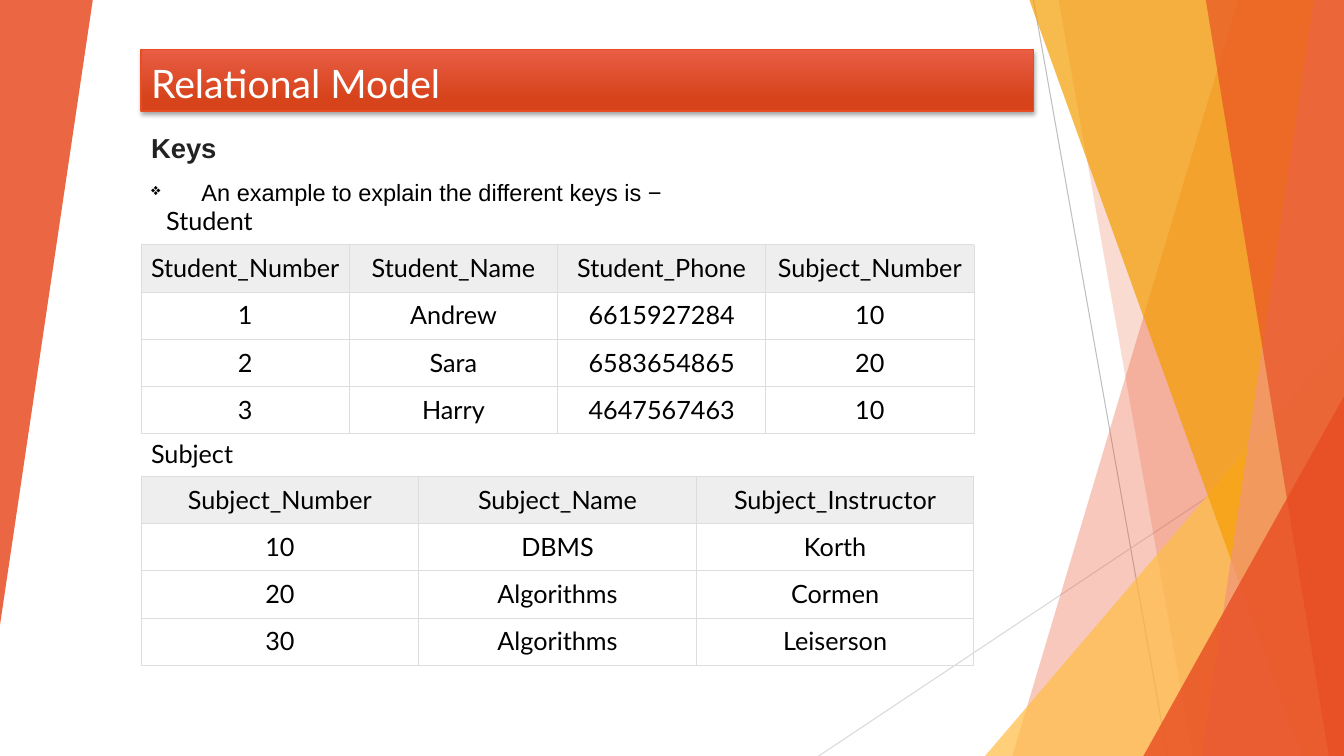
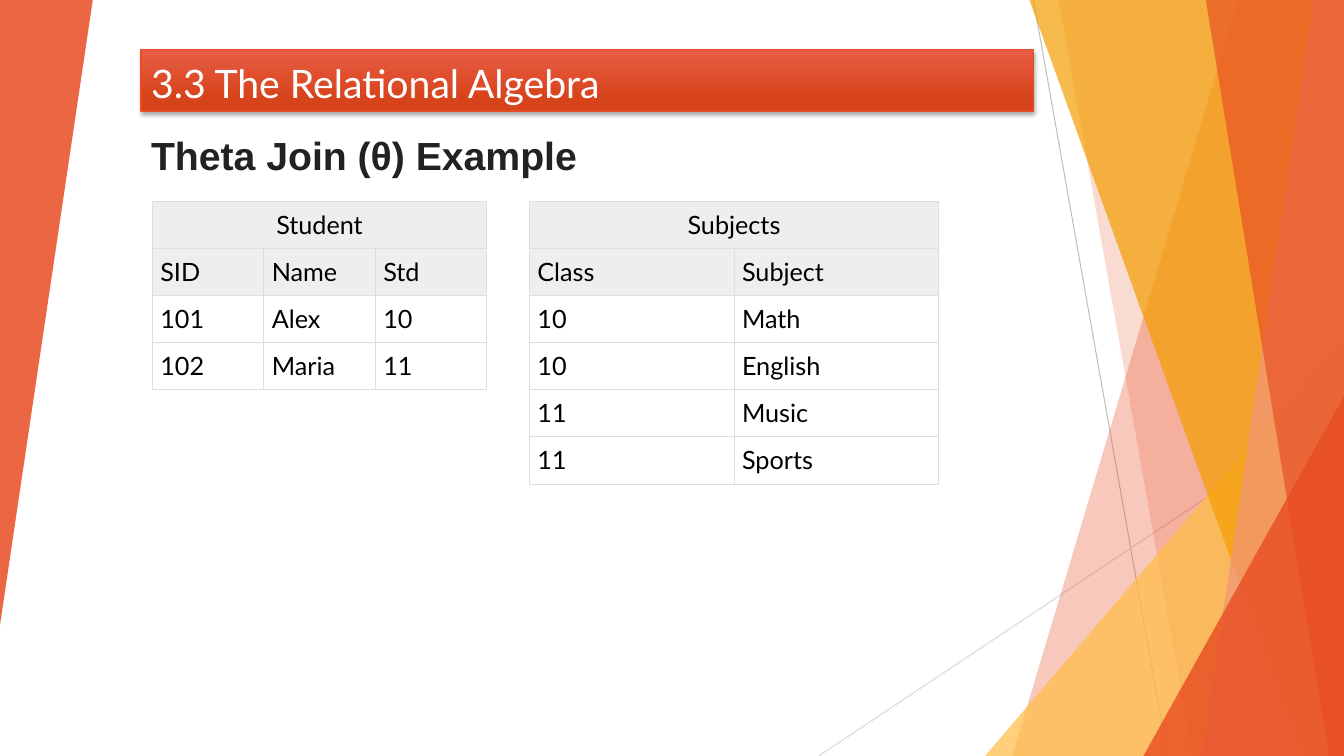
from pptx import Presentation
from pptx.dml.color import RGBColor as RGB
from pptx.enum.shapes import MSO_CONNECTOR as Conn, MSO_SHAPE as Kind
from pptx.enum.text import MSO_ANCHOR as Anchor, PP_ALIGN as Align
from pptx.oxml import parse_xml
from pptx.oxml.ns import nsdecls
from pptx.util import Inches, Pt

WHITE = RGB(0xFF, 0xFF, 0xFF)
BLACK = RGB(0, 0, 0)
INK = RGB(0x22, 0x22, 0x22)
RED = RGB(0xE8, 0x4C, 0x22)
ROSE = RGB(0xF1, 0x94, 0x7A)
GOLD = RGB(0xF4, 0x9D, 0x00)
AMBER = RGB(0xFF, 0xBD, 0x47)
TOP = RGB(0xE9, 0x5D, 0x45)
BASE = RGB(0xD7, 0x44, 0x1C)
HEAD = RGB(0xEE, 0xEE, 0xEE)
RULE = RGB(0xDD, 0xDD, 0xDD)
GREY = RGB(0xBF, 0xBF, 0xBF)
PALE = RGB(0xD9, 0xD9, 0xD9)
WIDE, HIGH = 13.33, 7.5
LEFT, SPAN = 1.4, 8.85
ROW = 0.467


def node(tag, attrs="", body=""):
    return parse_xml(f"<a:{tag} {nsdecls('a')} {attrs}>{body}</a:{tag}>")


class Deck:
    sans = "Arial"
    face = "Lato"

    def __init__(self):
        self.prs = Presentation()
        self.prs.slide_width = Inches(WIDE)
        self.prs.slide_height = Inches(HIGH)
        self.shapes = None

    def start(self, title):
        self.shapes = self.prs.slides.add_slide(self.prs.slide_layouts[6]).shapes
        self.decor()
        self.title(title)

    def decor(self):
        self.line(10.25, 0, 11.58, HIGH, GREY)
        self.line(WIDE, 4.03, 8.12, HIGH, PALE)
        self.shard(12.28, 10.04, RED, 30)
        self.shard(10.5, 11.83, RED, 20)
        self.wedge(9.77, 3.33, 3.56, 4.17, AMBER, 72)
        self.shard(10.21, 12.91, GOLD, 70)
        self.shard(13.03, 11.92, ROSE, 70)
        self.shard(11.96, 13.18, RED, 65)
        self.wedge(11.34, 3.93, 1.99, 3.57, RED, 80)
        self.wedge(0, 0, 0.92, 6.2, RED, 85, 180)

    def line(self, x1, y1, x2, y2, color):
        line = self.shapes.add_connector(Conn.STRAIGHT, *map(Inches, (x1, y1, x2, y2)))
        line.line.color.rgb = color
        line.line.width = Pt(0.75)
        line._element.spPr.append(node("effectLst"))

    def tint(self, shape, color, alpha):
        shape.shadow.inherit = False
        shape.line.fill.background()
        shape.fill.solid()
        shape.fill.fore_color.rgb = color
        mark = shape._element.spPr.xpath("./a:solidFill/a:srgbClr")[0]
        mark.append(node("alpha", f'val="{alpha * 1000}"'))

    def shard(self, top, base, color, alpha):
        form = self.shapes.build_freeform(Inches(top), 0)
        ends = [(WIDE, 0), (WIDE, HIGH), (base, HIGH)]
        form.add_line_segments([(Inches(x), Inches(y)) for x, y in ends])
        self.tint(form.convert_to_shape(), color, alpha)

    def wedge(self, x, y, w, h, color, alpha, turn=0):
        shape = self.shapes.add_shape(Kind.ISOSCELES_TRIANGLE, *map(Inches, (x, y, w, h)))
        shape.adjustments[0] = 1
        shape.rotation = turn
        self.tint(shape, color, alpha)

    def put(self, para, text, size, color, face, bold=False, align=Align.LEFT):
        para.alignment = align
        run = para.add_run()
        run.text = text
        run.font.size = Pt(size)
        run.font.name = face
        run.font.bold = bold
        run.font.color.rgb = color

    def title(self, text):
        bar = self.shapes.add_shape(Kind.RECTANGLE, *map(Inches, (LEFT, 0.49, SPAN, 0.61)))
        bar.fill.gradient()
        bar.fill.gradient_angle = 270
        for stop, color, at in zip(bar.fill.gradient_stops, (TOP, BASE), (0, 0.78)):
            stop.color.rgb = color
            stop.position = at
        bar.line.color.rgb = RED
        bar.line.width = Pt(1)
        bar.shadow.inherit = False
        shade = node("outerShdw", f'blurRad="{Pt(3)}" dist="{Pt(2)}" dir="5400000" rotWithShape="0"',
                     '<a:srgbClr val="000000"><a:alpha val="35000"/></a:srgbClr>')
        bar._element.spPr.xpath("./a:effectLst")[0].append(shade)
        frame = bar.text_frame
        frame.word_wrap = True
        frame.vertical_anchor = Anchor.BOTTOM
        self.put(frame.paragraphs[0], text, 28, WHITE, self.face)

    def box(self, x, y, w, h):
        frame = self.shapes.add_textbox(*map(Inches, (x, y, w, h))).text_frame
        frame.word_wrap = True
        return frame

    def topic(self, text, size, h):
        frame = self.box(LEFT, 1.25, SPAN, h)
        self.put(frame.paragraphs[0], text, size, INK, self.sans, True)
        return frame

    def bullet(self, frame, text, size):
        para = frame.add_paragraph()
        props = para._p.get_or_add_pPr()
        props.set("marL", str(Inches(0.5)))
        props.set("indent", str(-Inches(0.5)))
        props.append(node("buClr", "", '<a:srgbClr val="000000"/>'))
        props.append(node("buSzPct", 'val="71000"'))
        props.append(node("buChar", 'char="❖"'))
        para.space_before = Pt(10)
        self.put(para, text, size, BLACK, self.sans, align=Align.JUSTIFY)

    def label(self, text, x, y):
        self.put(self.box(x, y, 1.71, 0.4).paragraphs[0], text, 18, BLACK, self.face)

    def cell(self, cell, text, head, align):
        props = cell._tc.get_or_add_tcPr()
        for side in "LRTB":
            props.append(node(f"ln{side}", f'w="{Pt(0.75)}"',
                              f'<a:solidFill><a:srgbClr val="{RULE}"/></a:solidFill>'))
        if head:
            cell.fill.solid()
            cell.fill.fore_color.rgb = HEAD
        else:
            cell.fill.background()
        cell.margin_left = cell.margin_right = Inches(0.08)
        cell.margin_top = cell.margin_bottom = Inches(0.08)
        if text:
            self.put(cell.text_frame.paragraphs[0], text, 18, BLACK, self.face, align=align)

    def table(self, x, y, w, rows, name=None):
        count = len(rows[0])
        if name:
            rows = [[name] + [""] * (count - 1)] + rows
        heads = 2 if name else 1
        size = map(Inches, (x, y, w, ROW * len(rows)))
        grid = self.shapes.add_table(len(rows), count, *size).table
        grid.first_row = grid.horz_banding = False
        for r, row in enumerate(rows):
            align = Align.LEFT if name and r else Align.CENTER
            for c, text in enumerate(row):
                self.cell(grid.cell(r, c), text, r < heads, align)
        if name:
            grid.cell(0, 0).merge(grid.cell(0, count - 1))


def main():
    deck = Deck()

    deck.start("Relational Model")
    frame = deck.topic("Keys", 19.6, 0.75)
    deck.bullet(frame, "An example to explain the different keys is −", 16.8)
    deck.table(LEFT, 2.43, 8.26, [
        ["Student_Number", "Student_Name", "Student_Phone", "Subject_Number"],
        ["1", "Andrew", "6615927284", "10"],
        ["2", "Sara", "6583654865", "20"],
        ["3", "Harry", "4647567463", "10"],
    ])
    deck.table(LEFT, 4.73, 8.26, [
        ["Subject_Number", "Subject_Name", "Subject_Instructor"],
        ["10", "DBMS", "Korth"],
        ["20", "Algorithms", "Cormen"],
        ["30", "Algorithms", "Leiserson"],
    ])
    deck.label("Student", 1.55, 1.99)
    deck.label("Subject", LEFT, 4.3)

    deck.start("3.3 The Relational Algebra")
    deck.topic("Theta Join (θ) Example", 28, 0.61)
    deck.table(1.51, 2, 3.32, [
        ["SID", "Name", "Std"],
        ["101", "Alex", "10"],
        ["102", "Maria", "11"],
    ], "Student")
    deck.table(5.25, 2, 4.06, [
        ["Class", "Subject"],
        ["10", "Math"],
        ["10", "English"],
        ["11", "Music"],
        ["11", "Sports"],
    ], "Subjects")

    deck.prs.save("out.pptx")


if __name__ == "__main__":
    main()
